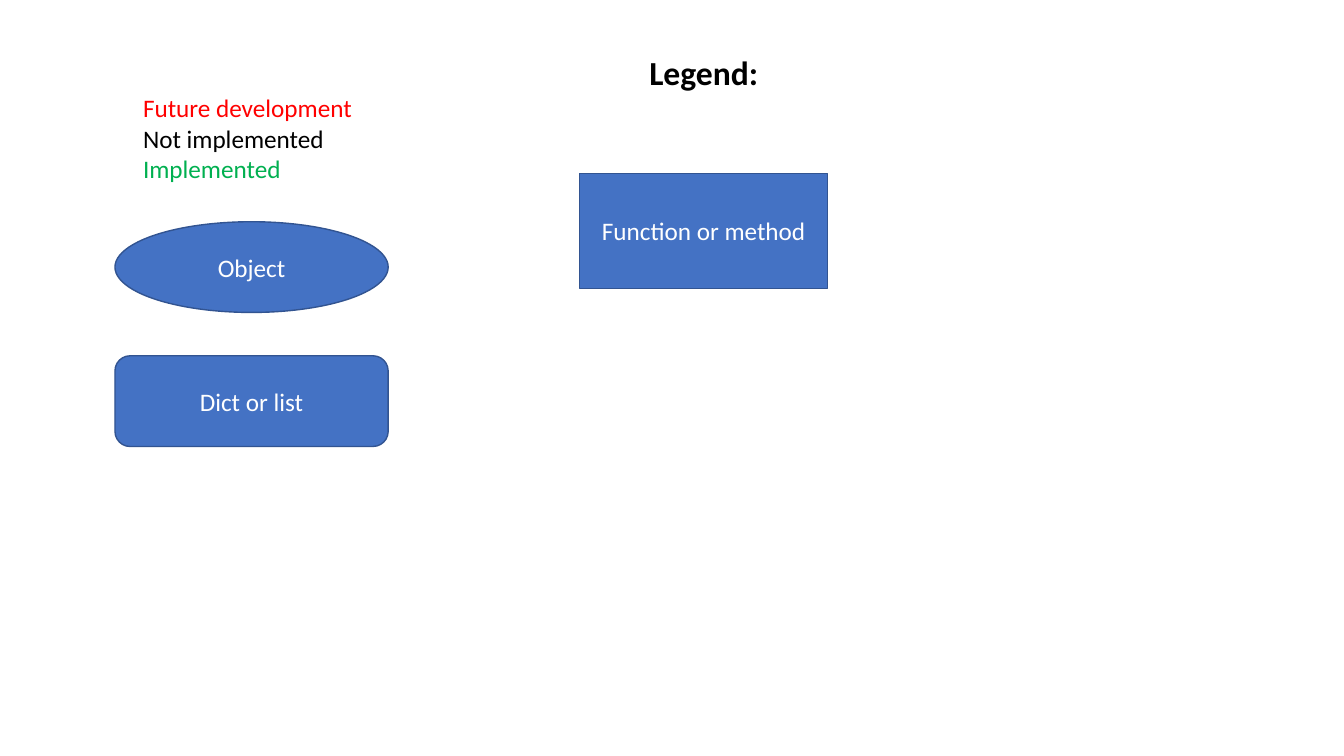
from pptx import Presentation
from pptx.dml.color import RGBColor
from pptx.enum.shapes import MSO_SHAPE
from pptx.enum.text import MSO_ANCHOR, PP_ALIGN
from pptx.util import Inches, Pt

OVAL = MSO_SHAPE.OVAL
ROUND = MSO_SHAPE.ROUNDED_RECTANGLE
RECT = MSO_SHAPE.RECTANGLE
MIDDLE = MSO_ANCHOR.MIDDLE
LEFT, CENTER = PP_ALIGN.LEFT, PP_ALIGN.CENTER

FONT = "Calibri"
COLORS = {
    "black": "000000",
    "white": "FFFFFF",
    "red": "FF0000",
    "green": "00B050",
    "blue": "4472C4",
    "edge": "325491",
}


def color(name):
    return RGBColor.from_string(COLORS[name])


def write(para, text, tint, size=18, bold=False, align=CENTER):
    para.alignment = align
    run = para.add_run()
    run.text = text
    run.font.name = FONT
    run.font.size = Pt(size)
    run.font.bold = bold
    run.font.color.rgb = color(tint)


deck = Presentation()
deck.slide_width = Inches(13.33)
deck.slide_height = Inches(7.5)
slide = deck.slides.add_slide(deck.slide_layouts[6])

# Legend title and status colours
box = slide.shapes.add_textbox(
    Inches(1.32), Inches(0.47), Inches(11.32), Inches(1.41))
frame = box.text_frame
frame.word_wrap = True
write(frame.paragraphs[0], "Legend:", "black", size=24, bold=True)
states = [
    ("Future development", "red"),
    ("Not implemented", "black"),
    ("Implemented", "green"),
]
for label, tint in states:
    write(frame.add_paragraph(), label, tint, align=LEFT)

# Shape key
keys = [
    ("Object", OVAL, 1.14, 2.2, 2.71, 0.9),
    ("Dict or list", ROUND, 1.14, 3.53, 2.71, 0.9),
    ("Function or method", RECT, 5.75, 1.72, 2.46, 1.14),
]
for label, kind, *place in keys:
    shape = slide.shapes.add_shape(kind, *map(Inches, place))
    shape.shadow.inherit = False
    shape.fill.solid()
    shape.fill.fore_color.rgb = color("blue")
    shape.line.color.rgb = color("edge")
    shape.line.width = Pt(1)
    frame = shape.text_frame
    frame.word_wrap = True
    frame.vertical_anchor = MIDDLE
    write(frame.paragraphs[0], label, "white")

deck.save("out.pptx")
